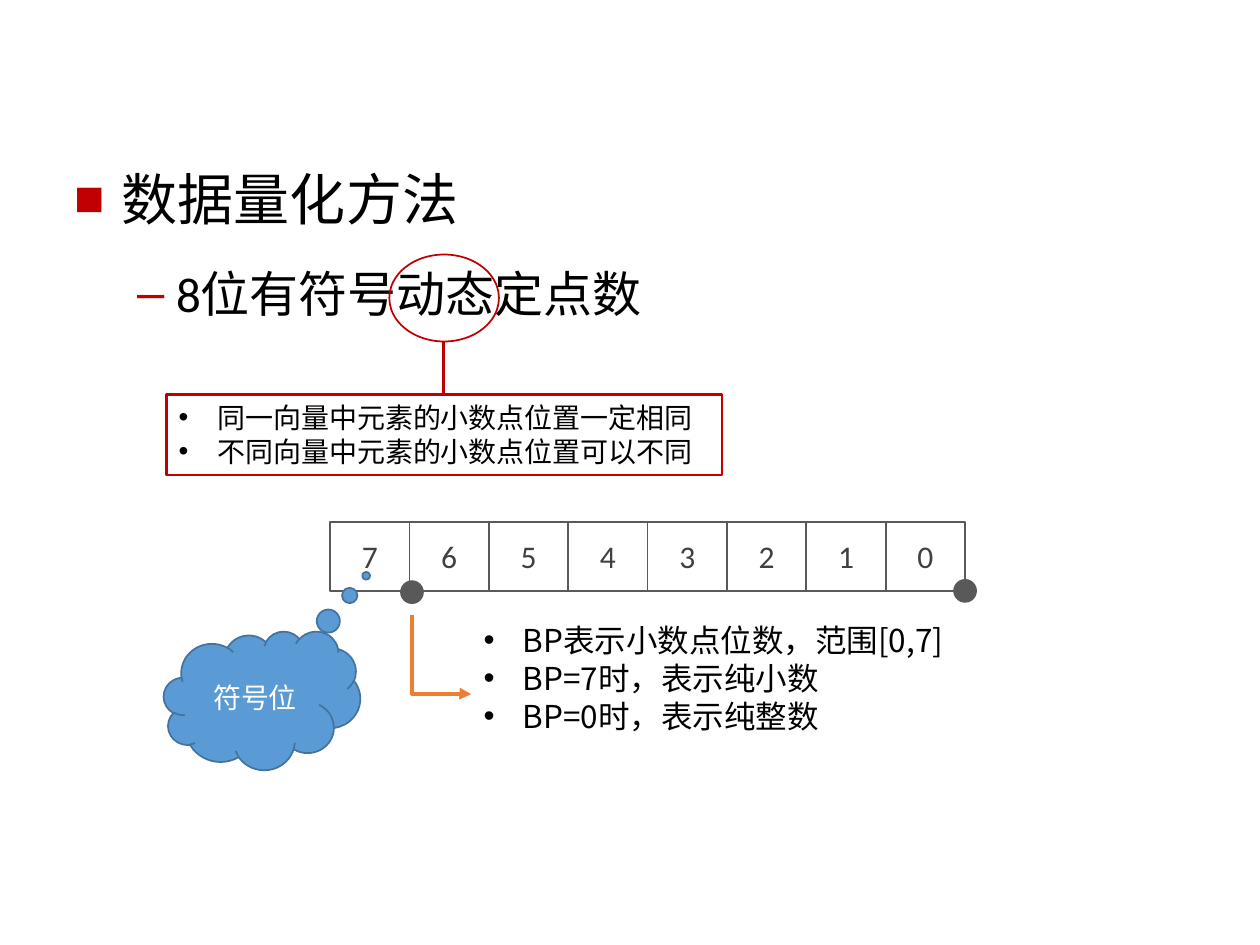
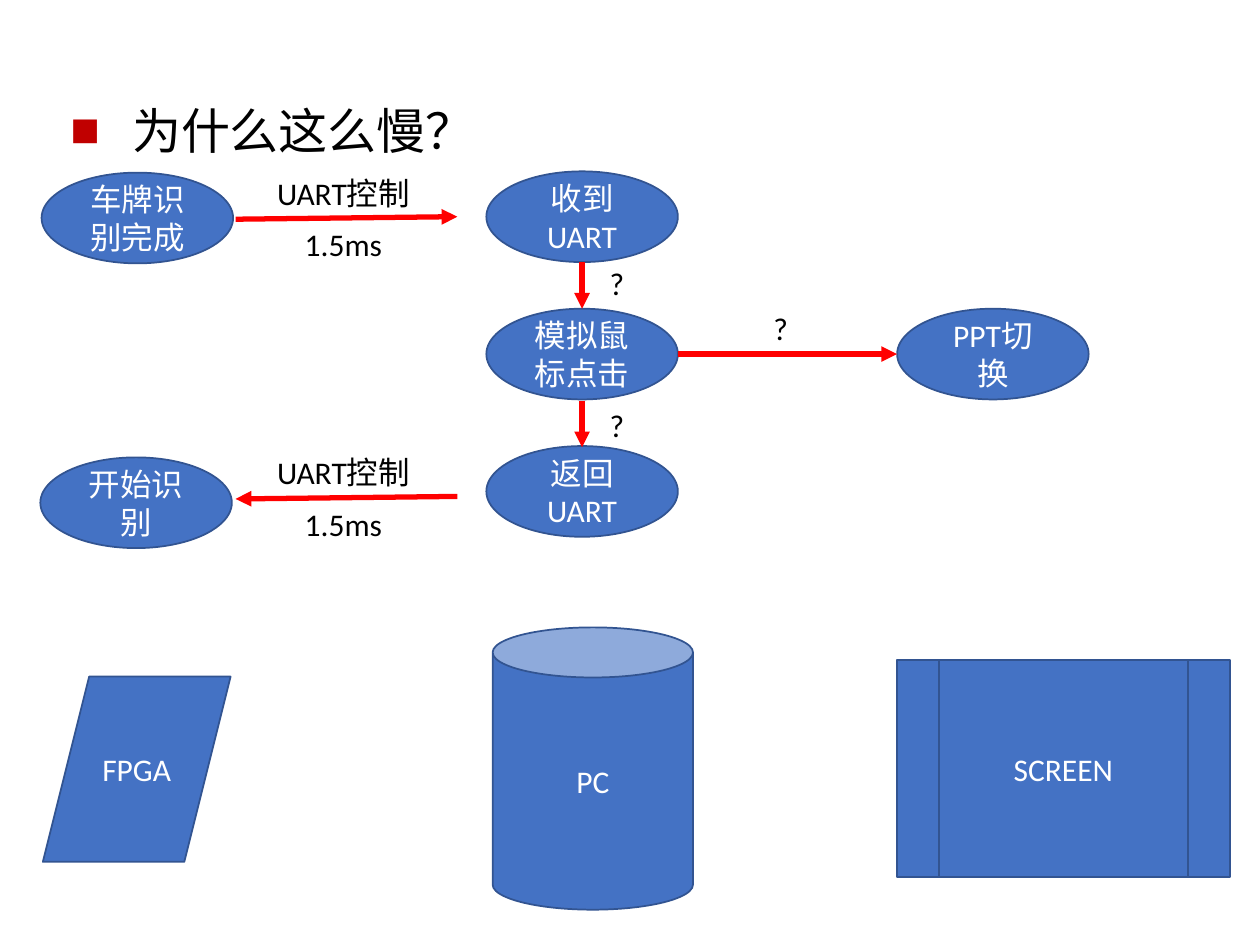
from lxml import etree
from pptx import Presentation
from pptx.dml.color import RGBColor
from pptx.enum.shapes import MSO_CONNECTOR, MSO_SHAPE
from pptx.enum.text import MSO_ANCHOR, PP_ALIGN
from pptx.oxml.ns import qn
from pptx.util import Inches, Pt

RECT, OVAL, CLOUD = MSO_SHAPE.RECTANGLE, MSO_SHAPE.OVAL, MSO_SHAPE.CLOUD_CALLOUT
PARALLELOGRAM, CAN = MSO_SHAPE.PARALLELOGRAM, MSO_SHAPE.CAN
PROCESS = MSO_SHAPE.FLOWCHART_PREDEFINED_PROCESS
STRAIGHT, ELBOW = MSO_CONNECTOR.STRAIGHT, MSO_CONNECTOR.ELBOW
CENTER, LEFT = PP_ALIGN.CENTER, PP_ALIGN.LEFT
MIDDLE, TOP = MSO_ANCHOR.MIDDLE, MSO_ANCHOR.TOP

LATIN, CJK = "Calibri", "Noto Sans CJK SC"
COLORS = {
    "black": "000000", "white": "FFFFFF", "crimson": "C00000", "red": "FF0000",
    "grey": "595959", "digit": "404040", "orange": "ED7D31",
    "sky": "5B9BD5", "sky_line": "43739E", "blue": "4472C4", "blue_line": "325491",
}


def rgb(name):
    return RGBColor.from_string(COLORS[name])


def add_xml(parent, tag, **attributes):
    return etree.SubElement(parent, qn(tag), attributes)


def style_font(paragraph, size, color, font):
    paragraph.font.size = Pt(size)
    paragraph.font.color.rgb = rgb(color)
    paragraph.font.name = font
    add_xml(paragraph.font._element, "a:ea", typeface=CJK)


def set_bullet(paragraph, char, indent, hang, color=None, percent=100):
    """Give a paragraph a hanging bullet; call before style_font."""
    props = paragraph._p.get_or_add_pPr()
    props.set("marL", str(Inches(indent)))
    props.set("indent", str(-Inches(hang)))
    if color:
        add_xml(add_xml(props, "a:buClr"), "a:srgbClr", val=COLORS[color])
    add_xml(props, "a:buSzPct", val=str(percent * 1000))
    add_xml(props, "a:buFont", typeface="Arial")
    add_xml(props, "a:buChar", char=char)


def add_text_box(slide, left, top, width, height):
    frame = slide.shapes.add_textbox(
        Inches(left), Inches(top), Inches(width), Inches(height)).text_frame
    frame.word_wrap = True
    return frame


def add_label(slide, text, left, top, width):
    line = add_text_box(slide, left, top, width, 0.4).paragraphs[0]
    line.text = text
    style_font(line, 18, "black", LATIN)


def add_bullets(frame, lines, size):
    frame.text = "\n".join(lines)
    for paragraph in frame.paragraphs:
        paragraph.alignment = LEFT
        set_bullet(paragraph, "•", 0.31, 0.31)
        style_font(paragraph, size, "black", CJK)


def add_figure(slide, kind, left, top, width, height, line, fill=None, weight=1):
    figure = slide.shapes.add_shape(
        kind, Inches(left), Inches(top), Inches(width), Inches(height))
    figure.shadow.inherit = False
    figure.line.color.rgb = rgb(line)
    figure.line.width = Pt(weight)
    if fill:
        figure.fill.solid()
        figure.fill.fore_color.rgb = rgb(fill)
    else:
        figure.fill.background()
    return figure


def write_centered(figure, text, size, color, font=LATIN):
    frame = figure.text_frame
    frame.word_wrap = True
    frame.vertical_anchor = MIDDLE
    line = frame.paragraphs[0]
    line.text = text
    line.alignment = CENTER
    style_font(line, size, color, font)


def add_blue_block(slide, kind, text, left, top, width=1.52, height=0.72):
    block = add_figure(slide, kind, left, top, width, height, "blue_line", "blue")
    write_centered(block, text, 18, "white")


def add_line(slide, start, end, color, weight, arrow=True, kind=STRAIGHT):
    line = slide.shapes.add_connector(
        kind, *(Inches(value) for value in (*start, *end)))
    line.line.color.rgb = rgb(color)
    line.line.width = Pt(weight)
    if arrow:
        add_xml(line.line._get_or_add_ln(), "a:tailEnd", type="triangle")
    add_xml(line._element.spPr, "a:effectLst")
    return line


def add_down_right_arrow(slide, start, end, color, weight):
    """Elbow arrow that runs down first, then right: a rotated, flipped connector."""
    across, down = end[0] - start[0], end[1] - start[1]
    mid_x, mid_y = (start[0] + end[0]) / 2, (start[1] + end[1]) / 2
    arrow = add_line(slide, (mid_x + down / 2, mid_y - across / 2),
                     (mid_x - down / 2, mid_y + across / 2),
                     color, weight, kind=ELBOW)
    props = arrow._element.spPr
    props.find(qn("a:xfrm")).set("rot", str(270 * 60000))
    guides = props.find(qn("a:prstGeom")).get_or_add_avLst()
    add_xml(guides, "a:gd", name="adj1", fmla="val 99300")


def build_quantization(slide):
    # Heading and subheading
    heading_box = add_text_box(slide, 0.49, 1.26, 9, 5.45)
    heading = heading_box.paragraphs[0]
    heading.text = "数据量化方法"
    heading.space_after = Pt(18)
    set_bullet(heading, "■", 0.38, 0.38, "crimson", 90)
    style_font(heading, 32, "black", LATIN)
    subheading = heading_box.add_paragraph()
    subheading.text = "8位有符号动态定点数"
    set_bullet(subheading, "–", 0.81, 0.31, "crimson")
    style_font(subheading, 28, "black", LATIN)

    # Ring around the word "dynamic", with its explanation
    add_figure(slide, OVAL, 3.09, 2.02, 0.87, 0.69, "crimson")
    explanation = add_figure(slide, RECT, 1.32, 3.13, 4.41, 0.64, "crimson", weight=1.5)
    explanation.text_frame.word_wrap = True
    explanation.text_frame.vertical_anchor = TOP
    add_bullets(explanation.text_frame,
                ["同一向量中元素的小数点位置一定相同",
                 "不同向量中元素的小数点位置可以不同"], 16)
    add_line(slide, (3.52, 2.71), (3.52, 3.13), "crimson", 1.5, arrow=False)

    # Eight bits, highest first
    bit_width = 0.63
    for position in range(8):
        bit = add_figure(slide, RECT, 2.62 + position * bit_width, 4.14,
                         bit_width, 0.55, "grey")
        write_centered(bit, str(7 - position), 18, "digit")

    # Sign bit
    sign_cloud = add_figure(slide, CLOUD, 1.3, 5.01, 1.56, 1.1, "sky_line", "sky")
    sign_cloud.adjustments[0] = 0.53
    sign_cloud.adjustments[1] = -0.9
    write_centered(sign_cloud, "符号位", 16, "white", CJK)

    # Binary point: its two extreme places and its meaning
    add_bullets(add_text_box(slide, 3.74, 4.88, 3.96, 1.01),
                ["BP表示小数点位数，范围[0,7]", "BP=7时，表示纯小数",
                 "BP=0时，表示纯整数"], 18)
    add_down_right_arrow(slide, (3.27, 4.88), (3.74, 5.51), "orange", 2.25)
    for left, top in ((3.19, 4.62), (7.58, 4.61)):
        add_figure(slide, OVAL, left, top, 0.16, 0.16, "grey", "grey", 2)


def build_latency(slide):
    # Heading
    heading = add_text_box(slide, 0.46, 0.75, 9.25, 0.57).paragraphs[0]
    heading.text = "为什么这么慢？"
    set_bullet(heading, "■", 0.49, 0.49, "crimson")
    style_font(heading, 28, "black", LATIN)

    # Devices
    add_blue_block(slide, PARALLELOGRAM, "FPGA", 0.34, 5.37, 1.49, 1.47)
    add_blue_block(slide, CAN, "PC", 3.91, 4.98, 1.59, 2.24)
    add_blue_block(slide, PROCESS, "SCREEN", 7.12, 5.24, 2.64, 1.72)

    # Steps on each device
    for text, left, top in (
            ("车牌识别完成", 0.33, 1.37), ("开始识别", 0.32, 3.63),
            ("收到UART", 3.86, 1.36), ("模拟鼠标点击", 3.86, 2.45),
            ("返回UART", 3.86, 3.54), ("PPT切换", 7.12, 2.45)):
        add_blue_block(slide, OVAL, text, left, top)

    # Order of the steps
    for start, end in (
            ((1.87, 1.74), (3.63, 1.72)), ((3.63, 3.94), (1.87, 3.96)),
            ((4.62, 2.08), (4.62, 2.45)), ((4.62, 3.18), (4.62, 3.55)),
            ((5.38, 2.81), (7.12, 2.81))):
        add_line(slide, start, end, "red", 3)

    # Links and their delays
    for link_top in (1.33, 3.55):
        add_label(slide, "UART控制", 2.1, link_top, 1.65)
        add_label(slide, "1.5ms", 2.32, link_top + 0.41, 0.87)
    for left, top in ((4.74, 2.05), (4.74, 3.17), (6.04, 2.4)):
        add_label(slide, "?", left, top, 0.87)


def main():
    deck = Presentation()
    deck.slide_width, deck.slide_height = Inches(10), Inches(7.5)
    blank = deck.slide_layouts[6]
    for build in (build_quantization, build_latency):
        build(deck.slides.add_slide(blank))
    deck.save("out.pptx")


if __name__ == "__main__":
    main()
